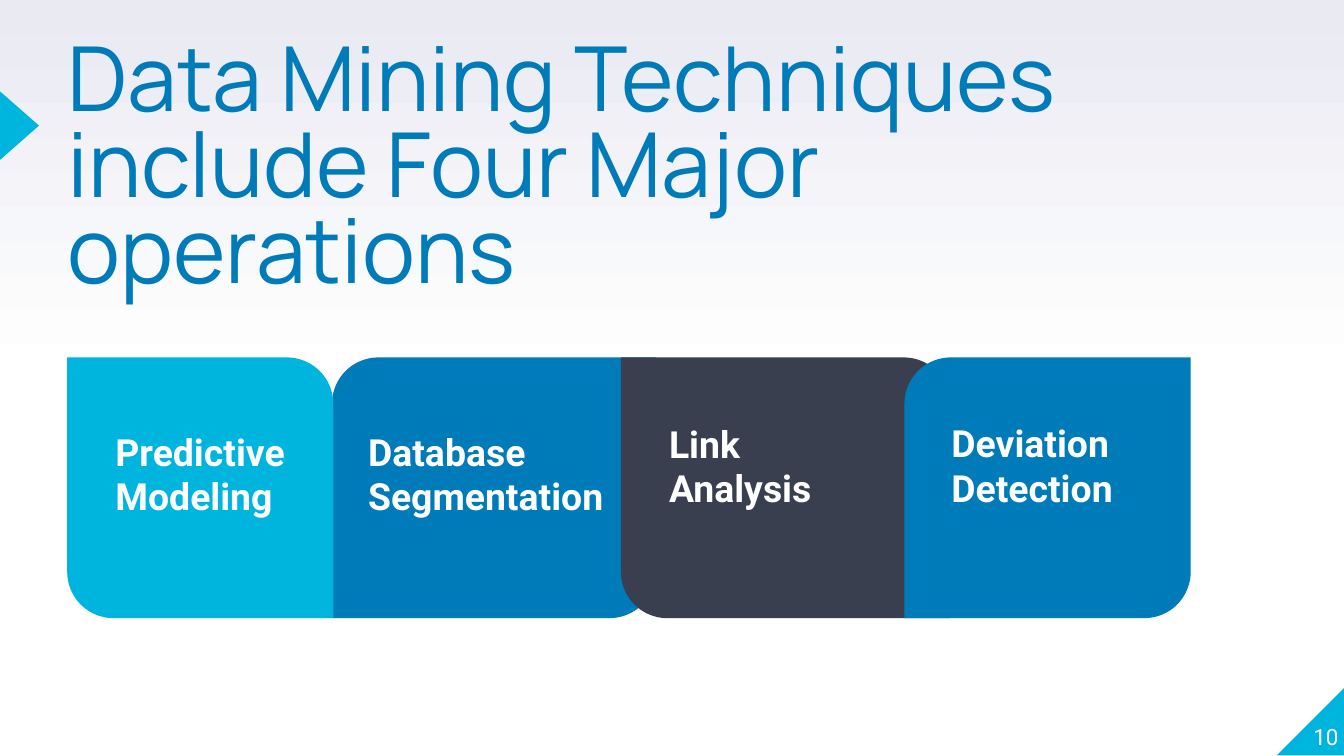
from pptx import Presentation
from pptx.dml.color import RGBColor
from pptx.enum.shapes import MSO_SHAPE
from pptx.enum.text import MSO_ANCHOR, MSO_AUTO_SIZE, PP_ALIGN
from pptx.util import Inches, Pt

WHITE = RGBColor(0xFF, 0xFF, 0xFF)
LAVENDER = RGBColor(0xE9, 0xEA, 0xF2)
CYAN = RGBColor(0x00, 0xB5, 0xDD)
BLUE = RGBColor(0x00, 0x7B, 0xB9)
SLATE = RGBColor(0x3A, 0x3F, 0x50)

CARD_TOP, CARD_HEIGHT = 2.66, 1.94
ROUNDING = 0.178

# Back to front: label, left, width, colour, rounded top left corner,
# label offset from the card (x, y), label size
CARDS = [
    ("Database Segmentation", 2.47, 2.41, BLUE, True, (0.17, 0.43), (1.98, 0.5)),
    ("Predictive Modeling", 0.5, 1.98, CYAN, False, (0.26, 0.43), (1.48, 0.57)),
    ("Link Analysis", 4.62, 2.45, SLATE, False, (0.26, 0.37), (1.66, 0.91)),
    ("Deviation Detection", 6.73, 2.13, BLUE, True, (0.25, 0.37), (1.71, 0.57)),
]


def add_filled(shapes, kind, box, color):
    shape = shapes.add_shape(kind, *map(Inches, box))
    shape.shadow.inherit = False
    shape.fill.solid()
    shape.fill.fore_color.rgb = color
    shape.line.fill.background()
    return shape


def write(holder, text, font, size, color, inset=0, anchor=MSO_ANCHOR.TOP,
          align=PP_ALIGN.LEFT, bold=False):
    frame = holder.text_frame
    frame.word_wrap = True
    frame.auto_size = MSO_AUTO_SIZE.NONE
    frame.vertical_anchor = anchor
    frame.margin_left = frame.margin_right = Inches(inset)
    frame.margin_top = frame.margin_bottom = Inches(inset)
    para = frame.paragraphs[0]
    para.alignment = align
    span = para.add_run()
    span.text = text
    span.font.name = font
    span.font.size = Pt(size)
    span.font.bold = bold
    span.font.color.rgb = color
    return para


def paint_background(page):
    fill = page.background.fill
    fill.gradient()
    fill.gradient_angle = 90
    for stop, position, color in zip(fill.gradient_stops, (0.5, 1), (WHITE, LAVENDER)):
        stop.position = position
        stop.color.rgb = color


def add_title(page, box, text):
    title = page.shapes.title
    title.left, title.top, title.width, title.height = map(Inches, box)
    para = write(title, text, "Manrope", 48, BLUE)
    para.line_spacing = 0.8
    para.space_before = Pt(0)


def add_edge_marker(page, box):
    marker = add_filled(page.shapes, MSO_SHAPE.ISOSCELES_TRIANGLE, box, CYAN)
    marker.rotation = 90


def add_page_number(page, box, number):
    left, top, width, height = box
    corner = add_filled(page.shapes, MSO_SHAPE.RIGHT_TRIANGLE, box, CYAN)
    corner._element.spPr.xfrm.set("flipH", "1")
    label_box = (left - 0.04, top - 0.04, width - 0.01, height)
    label = page.shapes.add_textbox(*map(Inches, label_box))
    write(label, number, "Roboto", 12, WHITE,
          anchor=MSO_ANCHOR.BOTTOM, align=PP_ALIGN.RIGHT)


def add_card(page, box, text, color, top_left_round, offset, label_size):
    group = page.shapes.add_group_shape()
    card = add_filled(group.shapes, MSO_SHAPE.ROUND_2_DIAG_RECTANGLE, box, color)
    # First value: top left and bottom right; second: the other two corners
    card.adjustments[0] = ROUNDING if top_left_round else 0
    card.adjustments[1] = 0 if top_left_round else ROUNDING
    label_box = (box[0] + offset[0], box[1] + offset[1], *label_size)
    label = group.shapes.add_textbox(*map(Inches, label_box))
    write(label, text, "Roboto", 20, WHITE, inset=0.1, bold=True)


def main():
    # Widescreen 16:9
    deck = Presentation()
    deck.slide_width = Inches(10)
    deck.slide_height = Inches(10 * 9 / 16)
    page = deck.slides.add_slide(deck.slide_layouts[5])

    # Frame of the slide
    paint_background(page)
    add_edge_marker(page, (-0.11, 0.79, 0.51, 0.29))
    add_title(page, (0.5, 0.32, 8.52, 1.53),
              "Data Mining Techniques include Four Major operations")
    add_page_number(page, (9.5, 5.11, 0.51, 0.51), "10")

    # Row of operations
    for text, left, width, color, top_left_round, offset, label_size in CARDS:
        add_card(page, (left, CARD_TOP, width, CARD_HEIGHT), text, color,
                 top_left_round, offset, label_size)

    deck.save("out.pptx")


if __name__ == "__main__":
    main()
